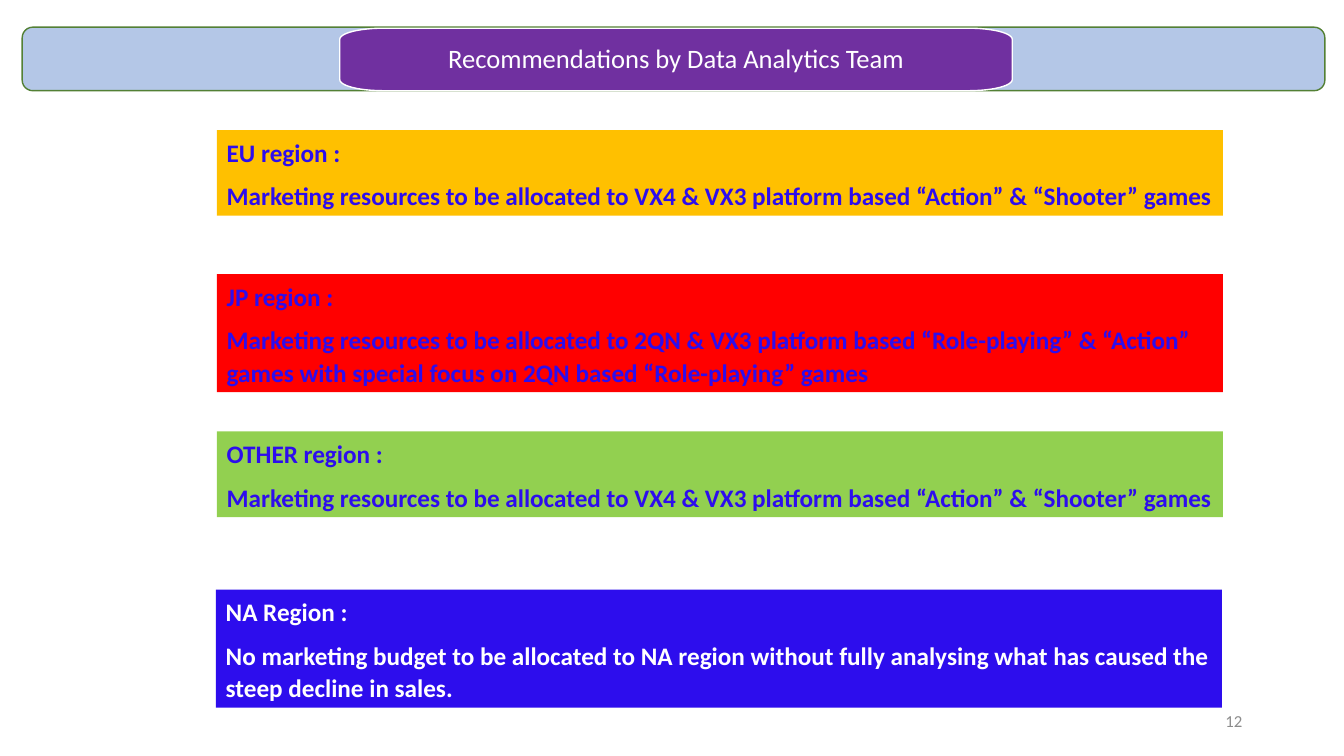
import math

import pptx
import pptx.dml.color
import pptx.enum.shapes
import pptx.enum.text
import pptx.util

RGB = pptx.dml.color.RGBColor
KIND = pptx.enum.shapes.MSO_SHAPE
ALIGN = pptx.enum.text.PP_ALIGN
MIDDLE = pptx.enum.text.MSO_ANCHOR.MIDDLE
GROW = pptx.enum.text.MSO_AUTO_SIZE.SHAPE_TO_FIT_TEXT
Pt = pptx.util.Pt

SCALE = 9144
WHITE = RGB(0xFF, 0xFF, 0xFF)
PALE = RGB(0xB4, 0xC7, 0xE7)
MOSS = RGB(0x53, 0x80, 0x35)
PURPLE = RGB(0x70, 0x30, 0xA0)
BLUE = RGB(0x2D, 0x0D, 0xED)
AMBER = RGB(0xFF, 0xC0, 0x00)
RED = RGB(0xFF, 0x00, 0x00)
GREEN = RGB(0x92, 0xD0, 0x50)
GRAY = RGB(0x8C, 0x8C, 0x8C)

SHARED = "Marketing resources to be allocated to VX4 & VX3 platform based “Action” & “Shooter” games"
REGIONS = [
    ((215, 129, 998, 85), AMBER, BLUE, "EU region :", SHARED),
    ((215, 272, 998, 117), RED, BLUE, "JP region :",
     "Marketing resources to be allocated to 2QN & VX3 platform based “Role-playing” & “Action” "
     "games with special focus on 2QN based “Role-playing” games"),
    ((215, 428, 998, 85), GREEN, BLUE, "OTHER region :", SHARED),
    ((214, 585, 998, 117), BLUE, WHITE, "NA Region :",
     "No marketing budget to be allocated to NA region without fully analysing what has caused "
     "the steep decline in sales."),
]


def px(*sizes):
    return [pptx.util.Emu(round(size * SCALE)) for size in sizes]


def apply(item, form):
    for key, value in form.items():
        setattr(item, key, value)


def paint(shape, fill, line=None):
    shape.shadow.inherit = False
    shape.fill.solid()
    shape.fill.fore_color.rgb = fill
    if line is None:
        shape.line.fill.background()
    else:
        shape.line.color.rgb = line
        shape.line.width = Pt(1)


def write(shape, lines, color, frame, para, font):
    apply(shape.text_frame, {"word_wrap": True, **frame})
    shape.text_frame.text = "\n".join(lines)
    for item in shape.text_frame.paragraphs:
        apply(item, para)
        apply(item.font, {"name": "Calibri", **font})
        item.font.color.rgb = color


def add_band(slide, box):
    band = slide.shapes.add_shape(KIND.ROUNDED_RECTANGLE, *px(*box))
    paint(band, PALE, MOSS)


def add_title(slide, box):
    left, top, width, height = box
    round_x, round_y, steps = 43, 11, 12
    centers = [
        (left + width - round_x, top + height - round_y),
        (left + round_x, top + height - round_y),
        (left + round_x, top + round_y),
        (left + width - round_x, top + round_y),
    ]
    points = []
    for turn, (mid_x, mid_y) in enumerate(centers):
        for step in range(steps + 1):
            angle = (turn + step / steps) * math.pi / 2
            points.append(px(mid_x + round_x * math.cos(angle), mid_y + round_y * math.sin(angle)))
    outline = slide.shapes.build_freeform(*points[0])
    outline.add_line_segments(points[1:], close=True)
    title = outline.convert_to_shape()
    paint(title, PURPLE, WHITE)
    side, edge = px(13, 9)
    write(title, ["Recommendations by Data Analytics Team"], WHITE,
          {"vertical_anchor": MIDDLE, "margin_left": side, "margin_right": side,
           "margin_top": edge, "margin_bottom": edge},
          {"alignment": ALIGN.CENTER, "line_spacing": 0.9}, {"size": Pt(19)})


def add_region(slide, box, fill, color, head, advice):
    panel = slide.shapes.add_textbox(*px(*box))
    paint(panel, fill)
    write(panel, [head, advice], color, {"auto_size": GROW},
          {"line_spacing": 1.07, "space_after": Pt(8)}, {"size": Pt(18), "bold": True})


def add_number(slide, box):
    number = slide.shapes.add_textbox(*px(*box))
    write(number, ["12"], GRAY, {"vertical_anchor": MIDDLE},
          {"alignment": ALIGN.RIGHT}, {"size": Pt(12)})


def main():
    deck = pptx.Presentation()
    deck.slide_width, deck.slide_height = px(1333, 750)
    slide = deck.slides.add_slide(deck.slide_layouts[6])
    add_band(slide, (22, 27, 1292, 63))
    add_title(slide, (337, 28, 667, 62))
    for region in REGIONS:
        add_region(slide, *region)
    add_number(slide, (942, 695, 300, 40))
    deck.save("out.pptx")


if __name__ == "__main__":
    main()
